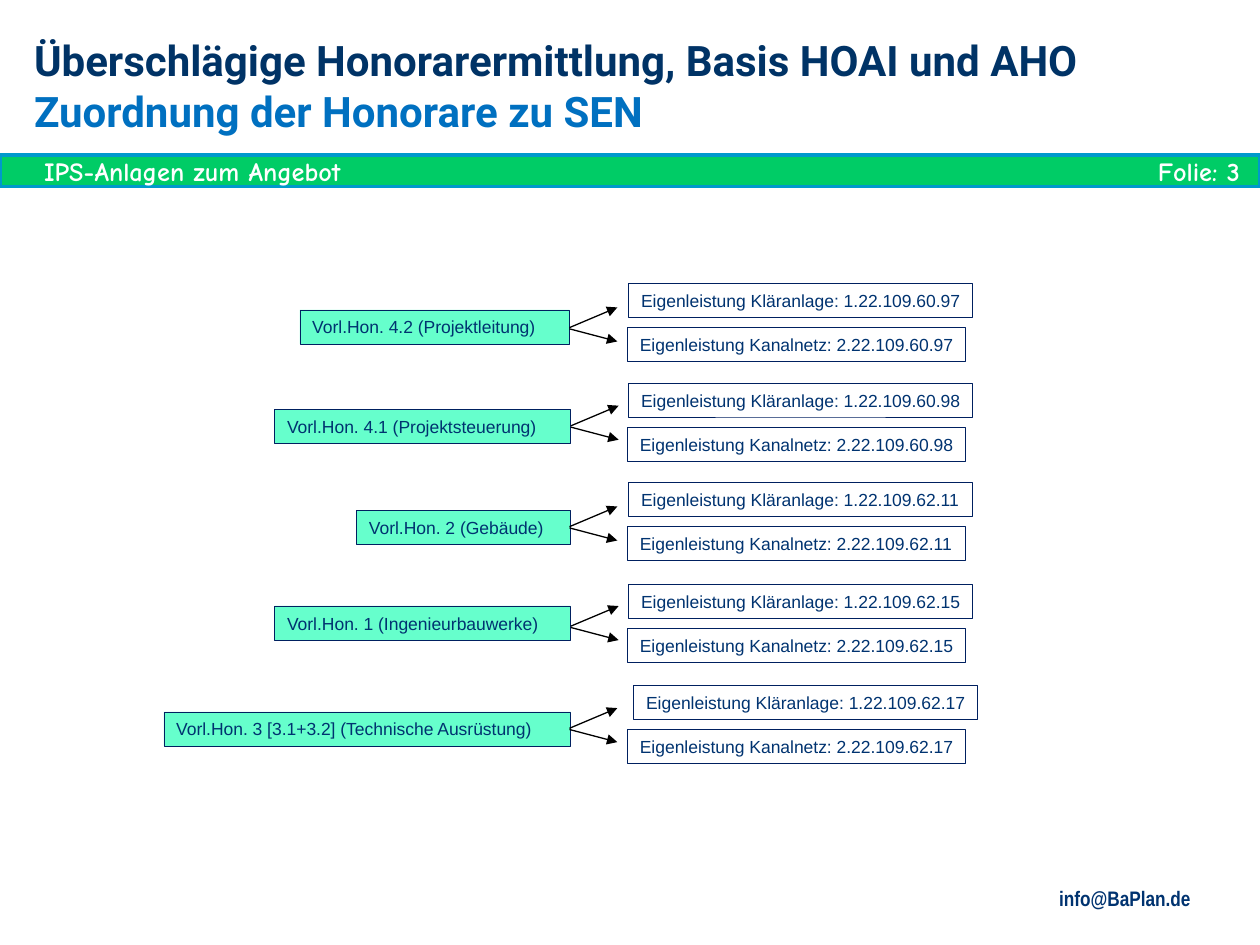
from lxml.etree import SubElement
from pptx import Presentation
from pptx.dml.color import RGBColor
from pptx.enum.shapes import MSO_CONNECTOR, MSO_SHAPE
from pptx.enum.text import MSO_ANCHOR, PP_ALIGN
from pptx.oxml.ns import qn
from pptx.util import Inches, Pt

COLORS = {
    "navy": "003366", "blue": "0070C0", "text": "003370", "border": "002060",
    "mint": "66FFCC", "green": "00CC66", "cyan": "0099CC",
    "white": "FFFFFF", "black": "000000",
}

# text, left, top, width, height, font, size, color, alignment
HEADINGS = [
    ("IPS-Anlagen zum Angebot", 0.35, 1.23, 9.65, 0.25, "Comic Neue", 15, "white", PP_ALIGN.LEFT),
    ("Folie: 3", 4.92, 1.23, 4.92, 0.25, "Comic Neue", 15, "white", PP_ALIGN.RIGHT),
    ("info@BaPlan.de", 5.57, 7.03, 3.88, 0.2, "Arial Narrow", 12, "text", PP_ALIGN.RIGHT),
    ("Überschlägige Honorarermittlung, Basis HOAI und AHO",
     0.27, 0.28, 8.82, 0.39, "Roboto", 24, "navy", PP_ALIGN.LEFT),
    ("Zuordnung der Honorare zu SEN",
     0.27, 0.68, 8.51, 0.39, "Roboto", 24, "blue", PP_ALIGN.LEFT),
]

# fee, its left, top and right, fork x and y, cost code, left and top of the first target
FEES = [
    ("Vorl.Hon. 4.2 (Projektleitung)", 2.38, 2.46, 4.52, 4.52, 2.6, "22.109.60.97", 4.99, 2.25),
    ("Vorl.Hon. 4.1 (Projektsteuerung)", 2.18, 3.25, 4.53, 4.53, 3.38, "22.109.60.98", 4.99, 3.04),
    ("Vorl.Hon. 2 (Gebäude)", 2.83, 4.05, 4.53, 4.52, 4.18, "22.109.62.11", 4.99, 3.83),
    ("Vorl.Hon. 1 (Ingenieurbauwerke)", 2.18, 4.81, 4.53, 4.53, 4.97, "22.109.62.15", 4.99, 4.64),
    ("Vorl.Hon. 3 [3.1+3.2] (Technische Ausrüstung)",
     1.3, 5.65, 4.53, 4.52, 5.78, "22.109.62.17", 5.03, 5.44),
]
BOX_HEIGHT = 0.27
TARGET_LEFT, TARGET_STEP = 4.98, 0.35
ARROW_RUN = 0.38


def color(name):
    return RGBColor.from_string(COLORS[name])


def add_text(frame, text, font, size, shade, bold=False, align=PP_ALIGN.LEFT):
    para = frame.paragraphs[0]
    para.alignment = align
    span = para.add_run()
    span.text = text
    span.font.name, span.font.size, span.font.bold = font, Pt(size), bold
    span.font.color.rgb = color(shade)
    return para


def add_box(page, left, top, width, height, fill, border, weight):
    box = page.shapes.add_shape(
        MSO_SHAPE.RECTANGLE, Inches(left), Inches(top), Inches(width), Inches(height))
    box.shadow.inherit = False
    if fill:
        box.fill.solid()
        box.fill.fore_color.rgb = color(fill)
    else:
        box.fill.background()
    box.line.color.rgb = color(border)
    box.line.width = Pt(weight)
    return box


def add_label(page, text, left, top, width, fill=None):
    box = add_box(page, left, top, width, BOX_HEIGHT, fill, "border", 0.25)
    frame = box.text_frame
    frame.word_wrap = fill is not None
    frame.vertical_anchor = MSO_ANCHOR.MIDDLE
    add_text(frame, text, "Arial", 10, "text")


def add_arrow(page, x, y, rise):
    arrow = page.shapes.add_connector(
        MSO_CONNECTOR.STRAIGHT, Inches(x), Inches(y), Inches(x + ARROW_RUN), Inches(y + rise))
    arrow.line.color.rgb = color("black")
    arrow.line.width = Pt(0.75)
    SubElement(arrow.line._get_or_add_ln(), qn("a:tailEnd"), type="triangle")
    SubElement(arrow._element.spPr, qn("a:effectLst"))


def add_heading(page, text, left, top, width, height, font, size, shade, align):
    box = page.shapes.add_textbox(Inches(left), Inches(top), Inches(width), Inches(height))
    frame = box.text_frame
    frame.word_wrap = True
    frame.margin_left = frame.margin_right = frame.margin_top = frame.margin_bottom = 0
    para = add_text(frame, text, font, size, shade, True, align)
    if font == "Roboto":
        para.line_spacing = Pt(28.5)
    else:
        frame.vertical_anchor = MSO_ANCHOR.MIDDLE


def main():
    deck = Presentation()
    deck.slide_width, deck.slide_height = Inches(10), Inches(7.5)
    page = deck.slides.add_slide(deck.slide_layouts[6])

    # Green band, titles and footer
    add_box(page, 0, 1.23, 10, 0.25, "green", "cyan", 2)
    for heading in HEADINGS:
        add_heading(page, *heading)

    # Each fee forks into two cost codes
    for fee, left, top, right, fork_x, fork_y, code, first_left, first_top in FEES:
        add_label(page, fee, left, top, right - left, "mint")
        add_arrow(page, fork_x, fork_y, -0.16)
        add_arrow(page, fork_x, fork_y + 0.01, 0.1)
        add_label(page, f"Eigenleistung Kläranlage: 1.{code}", first_left, first_top, 2.73)
        add_label(page, f"Eigenleistung Kanalnetz: 2.{code}",
                  TARGET_LEFT, first_top + TARGET_STEP, 2.68)

    deck.save("out.pptx")


if __name__ == "__main__":
    main()
